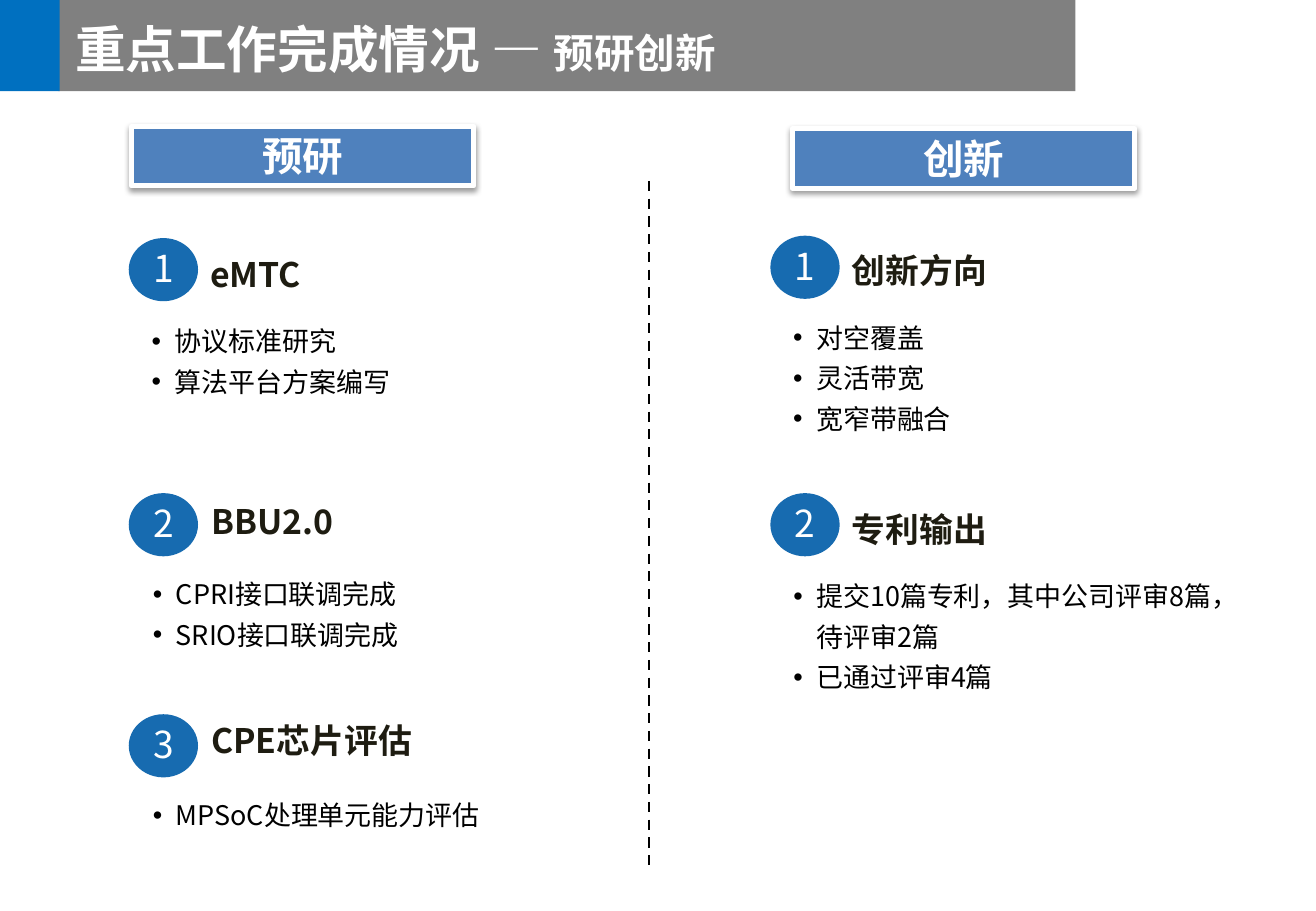
"""Build the slide on pre-research and innovation progress."""
from lxml import etree
from pptx import Presentation, util as u
from pptx.dml.color import RGBColor
from pptx.enum import dml, shapes, text
from pptx.oxml import parse_xml
from pptx.oxml.ns import nsdecls, qn

TITLE = [("重点工作完成情况 — ", 30), ("预研创新", 24)]
BANNERS = [("预研", 1.08, 1.04), ("创新", 6.52, 1.06)]
INSET = (0.1, 0.05)
FLUSH = (0, 0)
TOPICS = [
    dict(no="1", badge=(1.06, 1.96), head="eMTC", head_box=(1.73, 2.07, 2.39, 0.37), inset=FLUSH,
         items=["协议标准研究", "算法平台方案编写"], list_box=(1.15, 2.56, 4.03, 1.04)),
    dict(no="2", badge=(1.06, 4.06), head="BBU2.0", head_box=(1.64, 4.07, 2.15, 0.44), inset=INSET,
         items=["CPRI接口联调完成", "SRIO接口联调完成"], list_box=(1.16, 4.64, 2.26, 0.77)),
    dict(no="3", badge=(1.06, 5.88), head="CPE芯片评估", head_box=(1.64, 5.88, 2.15, 0.44), inset=INSET,
         items=["MPSoC处理单元能力评估"], list_box=(1.16, 6.46, 2.96, 0.41)),
    dict(no="1", badge=(6.34, 1.94), head="创新方向", head_box=(7.01, 2.04, 2.39, 0.37), inset=FLUSH,
         items=["对空覆盖", "灵活带宽", "宽窄带融合"], list_box=(6.43, 2.53, 4.03, 1.05)),
    dict(no="2", badge=(6.34, 4.06), head="专利输出", head_box=(7.01, 4.17, 2.39, 0.37), inset=FLUSH,
         items=["提交10篇专利，其中公司评审8篇，待评审2篇", "已通过评审4篇"],
         list_box=(6.43, 4.66, 3.72, 1.07)),
]
THEME = dict(font="Noto Sans CJK SC", white="FFFFFF", black="000000", grey="808080",
             accent="0070C0", banner="4F81BD", badge="176BB0", head="1E1C11",
             banner_size=24, badge_size=22, head_size=20, body_size=16)
TOP, MIDDLE, BOTTOM = text.MSO_ANCHOR.TOP, text.MSO_ANCHOR.MIDDLE, text.MSO_ANCHOR.BOTTOM
CENTER = text.PP_ALIGN.CENTER
RECT, OVAL = shapes.MSO_SHAPE.RECTANGLE, shapes.MSO_SHAPE.OVAL


def rgb(name):
    return RGBColor.from_string(THEME[name])


def inches(values):
    return [u.Inches(v) for v in values]


def add_block(parent, kind, box, fill):
    sp = parent.add_shape(kind, *inches(box))
    sp.shadow.inherit = False
    sp.fill.solid()
    sp.fill.fore_color.rgb = rgb(fill)
    sp.line.fill.background()
    return sp


def write(sp, paragraphs, color, bold=False, align=None, anchor=TOP, inset=INSET,
          spacing=None, bullet=False):
    """Fill a shape with paragraphs, each a list of (text, size) runs."""
    tf = sp.text_frame
    tf.word_wrap = True
    tf.vertical_anchor = anchor
    tf.margin_left = tf.margin_right = u.Inches(inset[0])
    tf.margin_top = tf.margin_bottom = u.Inches(inset[1])
    for i, runs in enumerate(paragraphs):
        p = tf.add_paragraph() if i else tf.paragraphs[0]
        if bullet:
            pPr = p._p.get_or_add_pPr()
            pPr.set("marL", str(u.Inches(0.19)))
            pPr.set("indent", str(-u.Inches(0.19)))
            etree.SubElement(pPr, qn("a:buFont")).set("typeface", "Arial")
            etree.SubElement(pPr, qn("a:buChar")).set("char", "•")
        p.alignment = align
        p.line_spacing = spacing
        for words, size in runs:
            r = p.add_run()
            r.text = words
            r.font.size = u.Pt(size)
            r.font.bold = bold
            r.font.color.rgb = rgb(color)
            r.font.name = THEME["font"]
            etree.SubElement(r._r.get_or_add_rPr(), qn("a:ea")).set("typeface", THEME["font"])


def add_banner(s, label, x, y):
    sp = add_block(s.shapes, RECT, (x, y, 2.82, 0.49), "banner")
    sp.line.color.rgb = rgb("white")
    sp.line.width = u.Pt(3)
    effects = sp._element.spPr.find(qn("a:effectLst"))
    effects.append(parse_xml(
        f'<a:outerShdw {nsdecls("a")} blurRad="40000" dist="20000" dir="5400000" rotWithShape="0">'
        f'<a:srgbClr val="{THEME["black"]}"><a:alpha val="38000"/></a:srgbClr></a:outerShdw>'))
    write(sp, [[(label, THEME["banner_size"])]], "white", bold=True, align=CENTER, anchor=BOTTOM)


def add_topic(s, topic):
    x, y = topic["badge"]
    badge = s.shapes.add_group_shape().shapes
    add_block(badge, OVAL, (x, y, 0.57, 0.52), "badge")
    number = add_block(badge, RECT, (x + 0.08, y + 0.14, 0.41, 0.3), "badge")
    write(number, [[(topic["no"], THEME["badge_size"])]], "white", align=CENTER, anchor=MIDDLE,
          inset=FLUSH, spacing=0.7)
    head = s.shapes.add_textbox(*inches(topic["head_box"]))
    write(head, [[(topic["head"], THEME["head_size"])]], "head", bold=True, inset=topic["inset"],
          anchor=MIDDLE if topic["inset"] == FLUSH else TOP)
    items = s.shapes.add_textbox(*inches(topic["list_box"]))
    write(items, [[(item, THEME["body_size"])] for item in topic["items"]], "black",
          spacing=1.25, bullet=True)


def add_divider(s):
    line = s.shapes.add_connector(shapes.MSO_CONNECTOR.STRAIGHT, *inches((5.34, 1.49, 5.34, 7.16)))
    line.line.color.rgb = rgb("black")
    line.line.width = u.Pt(1.5)
    line.line.dash_style = dml.MSO_LINE.DASH
    etree.SubElement(line._element.spPr, qn("a:effectLst"))


def main():
    prs = Presentation()
    prs.slide_width, prs.slide_height = inches((10.83, 7.5))
    s = prs.slides.add_slide(prs.slide_layouts[6])
    header = s.shapes.add_group_shape().shapes
    add_block(header, RECT, (0.48, 0, 8.37, 0.75), "grey")
    add_block(header, RECT, (0, 0, 0.49, 0.75), "accent")
    title = s.shapes.add_textbox(*inches((0.52, 0.05, 7.34, 0.7)))
    write(title, [TITLE], "white", bold=True, anchor=MIDDLE, inset=(0.1, 0.1))
    for banner in BANNERS:
        add_banner(s, *banner)
    add_divider(s)
    for topic in TOPICS:
        add_topic(s, topic)
    prs.save("out.pptx")


if __name__ == "__main__":
    main()
